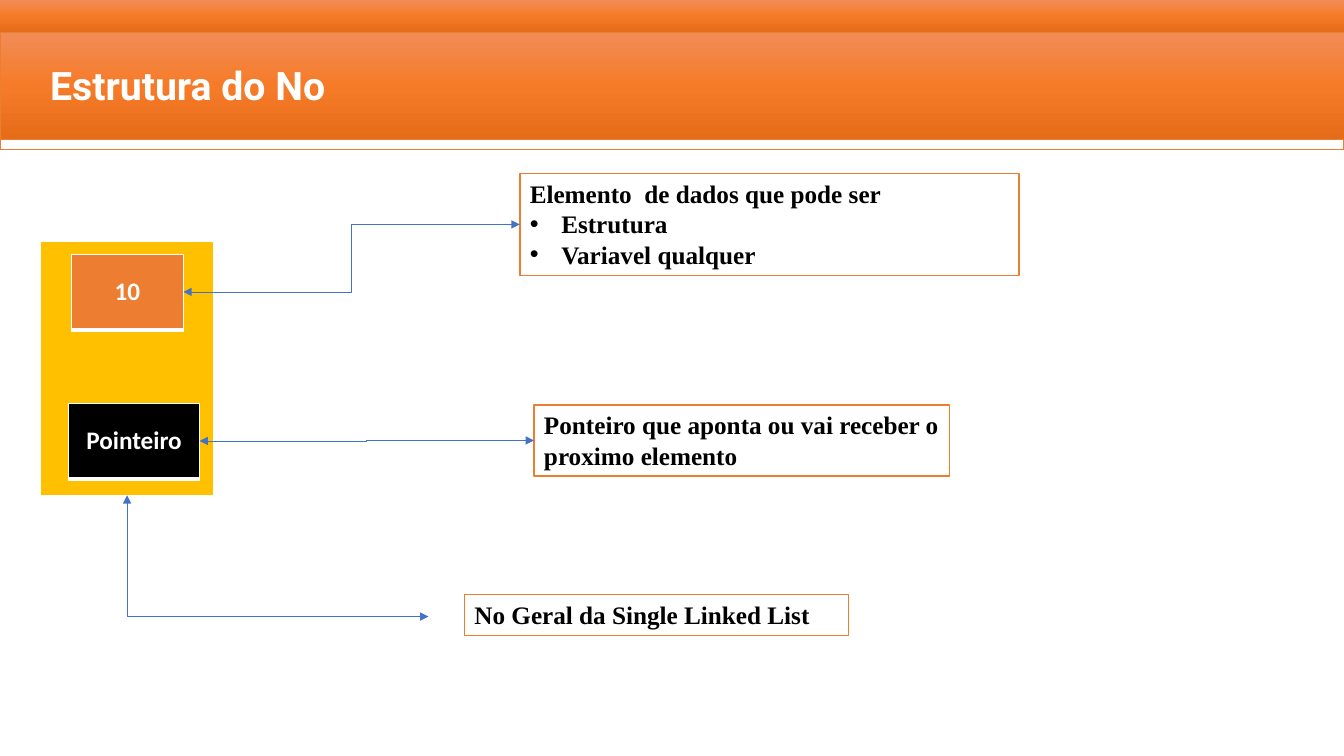
from copy import deepcopy
from pptx import Presentation
from pptx.dml.color import RGBColor
from pptx.enum import shapes, text
from pptx.oxml import ns, xmlchemy
from pptx.util import Pt

WIDE, HIGH = 960, 540
ORANGE, WHITE, BLACK, BLUE, GOLD = "ED7D31", "FFFFFF", "000000", "4472C4", "FFC000"
GLOW = [(0, "F18C57"), (0.5, "F67B28"), (1, "E56C19")]
SERIF = "Times New Roman"

# Boxes are left, top, width, height in points
TITLE = ("Estrutura do No", (28.8, 40.3, 440, 41))
BANDS = [  # top, height, fill, line width
    (0, 23, GLOW, 0),
    (23, 77, GLOW, 0.5),
    (99.5, 7.2, WHITE, 1),
]
NODE = (28.8, 172, 124, 182)
CELLS = [
    ("10", (51, 181.5, 80, 54), ORANGE),
    ("Pointeiro", (49, 288, 93.5, 54), BLACK),
]
NOTES = [  # heading, bullets, box
    ("Elemento  de dados que pode ser", ["Estrutura", "Variavel qualquer"],
     (371.3, 124, 356.5, 72.7)),
    ("Ponteiro que aponta ou vai receber o proximo elemento", [],
     (381.5, 289.2, 296.7, 50.9)),
    ("No Geral da Single Linked List", [], (331.8, 424.8, 274.5, 29.1)),
]
LOOP = (90.7, 353.8, 306, 440.4)  # from the node's foot to the last note


def color(code):
    """Turn a hex string into a colour."""
    return RGBColor.from_string(code)


def child(parent, tag, **attrs):
    """Append an XML element with attributes."""
    item = xmlchemy.OxmlElement(tag)
    for key, val in attrs.items():
        item.set(key, str(val))
    parent.append(item)
    return item


def paint(fill, look, holder):
    """Fill with one colour or with a top-down gradient."""
    if isinstance(look, str):
        fill.solid()
        fill.fore_color.rgb = color(look)
        return
    fill.gradient()
    fill.gradient_angle = 270
    stops = holder.find(".//" + ns.qn("a:gsLst"))
    stops.append(deepcopy(stops[0]))
    for stop, (pos, code) in zip(fill.gradient_stops, look):
        stop.position = pos
        stop.color.rgb = color(code)


def rect(box, look, edge, width):
    """Add a rectangle; width 0 means no line."""
    form = slide.shapes.add_shape(shapes.MSO_SHAPE.RECTANGLE, *map(Pt, box))
    form.shadow.inherit = False
    paint(form.fill, look, form.element.spPr)
    if width:
        form.line.color.rgb = color(edge)
        form.line.width = Pt(width)
    else:
        form.line.fill.background()
    return form


def write(par, words, face, size, code, align=text.PP_ALIGN.LEFT):
    """Set the words and bold font of a paragraph."""
    par.text = words
    par.alignment = align
    font = par.font
    font.name, font.size, font.bold = face, Pt(size), True
    font.color.rgb = color(code)


def cell(words, box, look):
    """Add a one-cell table with white borders."""
    table = slide.shapes.add_table(1, 1, *map(Pt, box)).table
    table.first_row = table.horz_banding = False
    spot = table.cell(0, 0)
    props = spot._tc.get_or_add_tcPr()
    for side, width in zip("LRTB", (1, 1, 1, 3)):
        line = child(props, "a:ln" + side, w=Pt(width))
        child(child(line, "a:solidFill"), "a:srgbClr", val=WHITE)
    paint(spot.fill, look, props)
    spot.vertical_anchor = text.MSO_ANCHOR.MIDDLE
    write(spot.text_frame.paragraphs[0], words, "Calibri", 18, WHITE,
          text.PP_ALIGN.CENTER)


def note(head, items, box):
    """Add an outlined note with optional bullets."""
    frame = rect(box, WHITE, ORANGE, 1).text_frame
    frame.word_wrap = True
    frame.vertical_anchor = text.MSO_ANCHOR.TOP
    write(frame.paragraphs[0], head, SERIF, 18, BLACK)
    for item in items:
        par = frame.add_paragraph()
        write(par, item, SERIF, 18, BLACK)
        props = par._p.get_or_add_pPr()
        props.set("marL", str(Pt(22.5)))
        props.set("indent", str(-Pt(22.5)))
        bullet = xmlchemy.OxmlElement("a:buChar")
        bullet.set("char", "•")
        font = xmlchemy.OxmlElement("a:buFont")
        font.set("typeface", "Arial")
        props.insert(0, font)
        props.insert(1, bullet)


def link(*ends):
    """Add an elbow connector with arrows at both ends."""
    wire = slide.shapes.add_connector(shapes.MSO_CONNECTOR.ELBOW, *map(Pt, ends))
    wire.line.color.rgb = color(BLUE)
    wire.line.width = Pt(0.5)
    line = wire.line._get_or_add_ln()
    for tag in ("a:headEnd", "a:tailEnd"):
        child(line, tag, type="triangle")
    child(wire.element.spPr, "a:effectLst")
    return wire


def corner(left, top, right, foot):
    """Add a single-bend connector going down, then right."""
    midx, midy = (left + right) / 2, (top + foot) / 2
    dx, dy = (foot - top) / 2, (right - left) / 2  # sides swap when turned
    wire = link(midx + dx, midy - dy, midx - dx, midy + dy)
    props = wire.element.spPr
    props.find(ns.qn("a:xfrm")).set("rot", str(270 * 60000))
    props.find(ns.qn("a:prstGeom")).set("prst", "bentConnector2")


deck = Presentation()
deck.slide_width, deck.slide_height = Pt(WIDE), Pt(HIGH)
slide = deck.slides.add_slide(deck.slide_layouts[6])

for top, high, look, width in BANDS:
    rect((0, top, WIDE, high), look, ORANGE, width)
words, box = TITLE
frame = slide.shapes.add_textbox(*map(Pt, box)).text_frame
frame.word_wrap = True
write(frame.paragraphs[0], words, "Roboto", 28, WHITE)

rect(NODE, GOLD, WHITE, 1.5)
for entry in CELLS:
    cell(*entry)
for entry in NOTES:
    note(*entry)
for (_, start, _), (_, _, goal) in zip(CELLS, NOTES):
    link(start[0] + start[2], start[1] + start[3] / 2,
         goal[0], goal[1] + goal[3] / 2)
corner(*LOOP)

deck.save("out.pptx")
